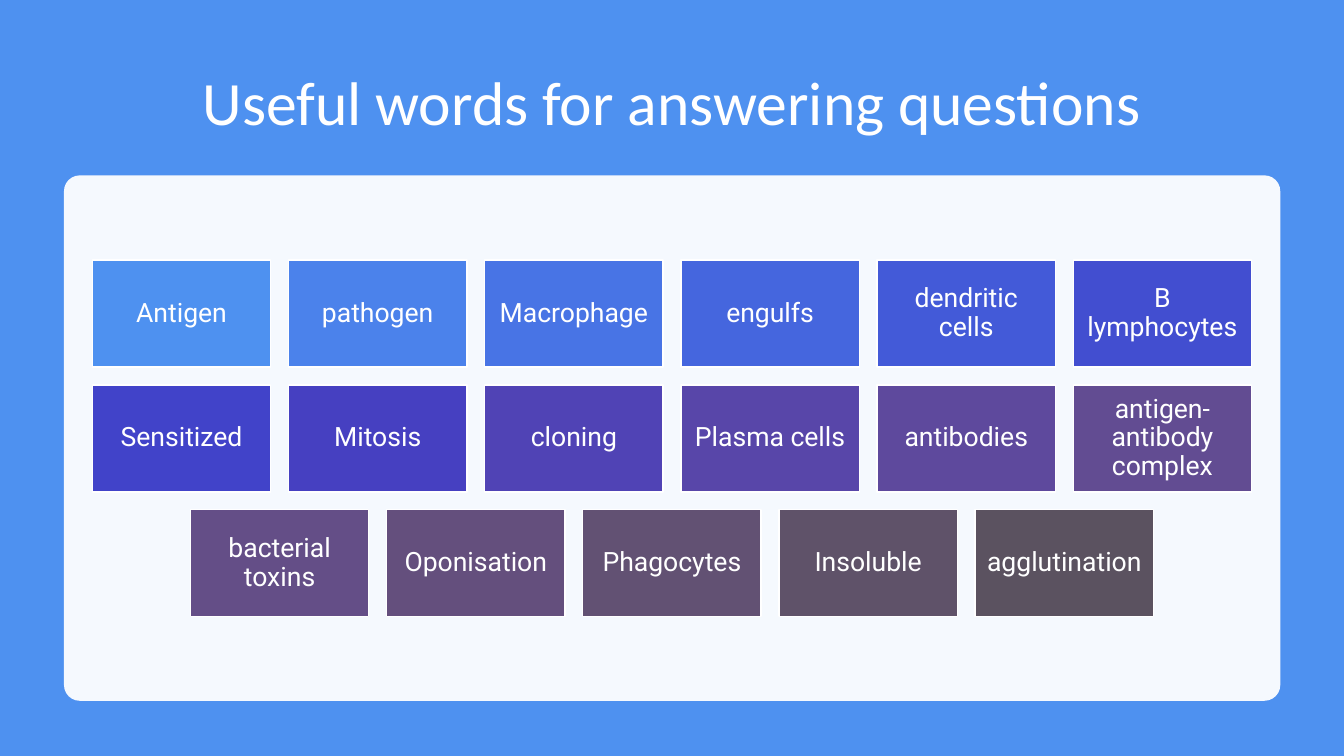
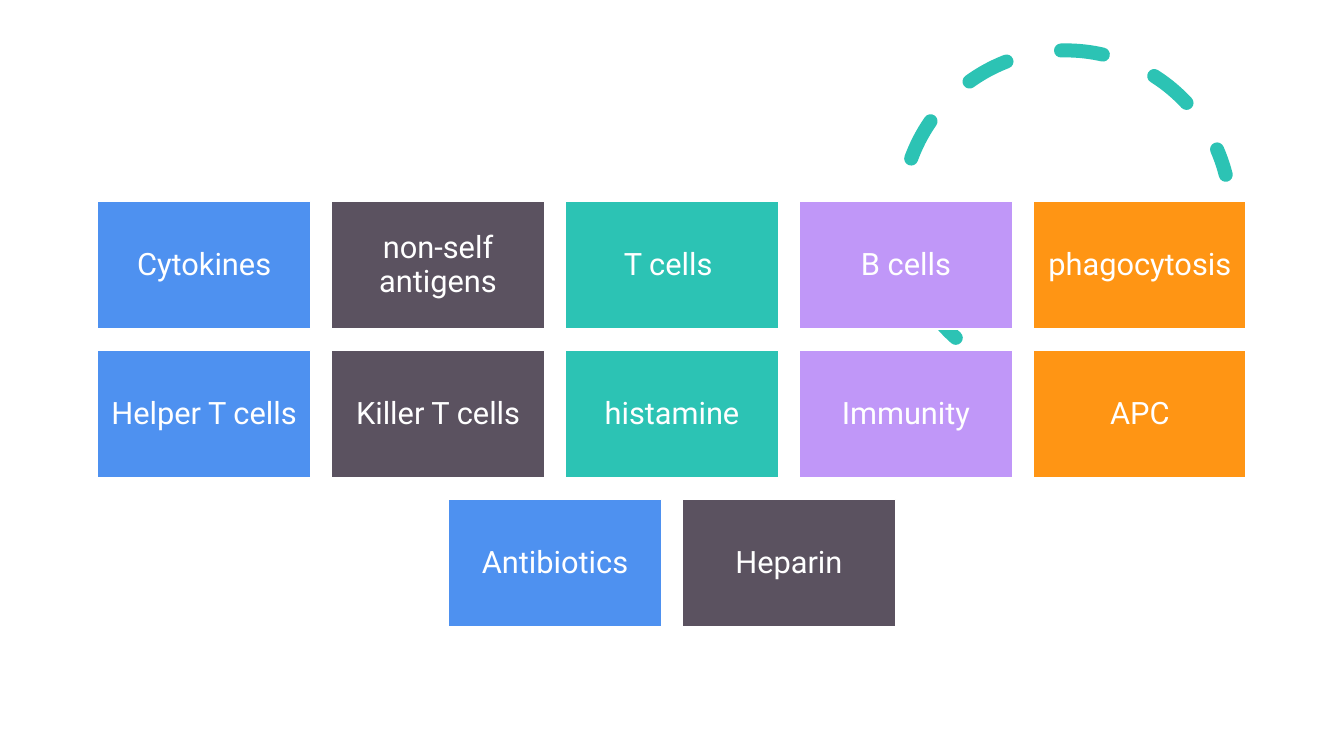
from itertools import cycle
from lxml.etree import SubElement
from pptx import Presentation
from pptx.dml.color import RGBColor
from pptx.enum.dml import MSO_LINE
from pptx.enum.shapes import MSO_SHAPE
from pptx.enum.text import MSO_ANCHOR, PP_ALIGN
from pptx.oxml.ns import qn
from pptx.util import Inches, Pt

WHITE, BLUE, TEAL, SLATE = "FFFFFF", "4E91F0", "2CC3B4", "5B5260"
LILAC, ORANGE = "C097F8", "FF9514"


def paint(fill, colour):
    fill.solid()
    fill.fore_color.rgb = RGBColor.from_string(colour)


def write(shape, words, font_name, size, inset):
    frame = shape.text_frame
    frame.word_wrap = True
    frame.vertical_anchor = MSO_ANCHOR.MIDDLE
    frame.margin_left = frame.margin_right = inset
    frame.margin_top = frame.margin_bottom = inset
    frame.text = words
    paragraph = frame.paragraphs[0]
    paragraph.alignment = PP_ALIGN.CENTER
    paragraph.line_spacing = 0.9
    for run in paragraph.runs:
        run.font.name = font_name
        run.font.size = Pt(size)
        paint(run.font.fill, WHITE)


deck = Presentation()
deck.slide_width, deck.slide_height = Inches(13.333), Inches(7.5)
column, row = deck.slide_width / 100, deck.slide_height / 100
blank = deck.slide_layouts[6]

answer_words = deck.slides.add_slide(blank)
paint(answer_words.background.fill, BLUE)
title = answer_words.shapes.add_textbox(
    int(6.88 * column), int(6.67 * row), int(86.25 * column), int(14.67 * row))
write(title, "Useful words for answering questions", "Calibri", 44, Inches(0.1))

panel = answer_words.shapes.add_shape(
    MSO_SHAPE.ROUNDED_RECTANGLE,
    int(4.76 * column), int(23.2 * row), int(90.5 * column), int(69.5 * row))
panel.adjustments[0] = 0.03
panel.shadow.inherit = False
panel.line.fill.background()
paint(panel.fill, WHITE)
panel_colour = next(panel.element.spPr.iter(qn("a:srgbClr")))
SubElement(panel_colour, qn("a:alpha")).set("val", "95000")

cell_words = deck.slides.add_slide(blank)
paint(cell_words.background.fill, WHITE)
arc_size = int(24.53 * column)
dashed_arc = cell_words.shapes.add_shape(
    MSO_SHAPE.ARC, int(67.05 * column), int(6.67 * row), arc_size, arc_size)
dashed_arc.adjustments[0] = 146.13 * 60000 / 100000
dashed_arc.adjustments[1] = 0
dashed_arc.rotation = 345.8
dashed_arc.shadow.inherit = False
dashed_arc.fill.background()
paint(dashed_arc.line.fill, TEAL)
dashed_arc.line.width = Pt(10)
dashed_arc.line.dash_style = MSO_LINE.DASH
next(dashed_arc.element.iter(qn("a:ln"))).set("cap", "rnd")

answer_vocabulary = [
    "Antigen", "pathogen", "Macrophage", "engulfs", "dendritic cells", "B lymphocytes",
    "Sensitized", "Mitosis", "cloning", "Plasma cells", "antibodies",
    "antigen- antibody complex",
    "bacterial toxins", "Oponisation", "Phagocytes", "Insoluble", "agglutination"]
blue_to_slate = [
    BLUE, "4B82EB", "4874E5", "4566DE", "435AD8", "424ED0",
    "4143C9", "4640C1", "5043B5", "5846A9", "5E499D", "624C92",
    "644E87", "644F7D", "625173", "5F5269", SLATE]
cell_vocabulary = [
    "Cytokines", "non-self antigens", "T cells ", "B cells", "phagocytosis",
    "Helper T cells", "Killer T cells", "histamine", "Immunity", "APC",
    "Antibiotics", "Heparin"]
accents = [BLUE, SLATE, TEAL, LILAC, ORANGE]

word_grids = [
    (answer_words, answer_vocabulary, blue_to_slate, 6, 86.25, 34.4, 19),
    (cell_words, cell_vocabulary, accents, 5, 85.45, 26.67, 22)]

for slide, vocabulary, colours, per_row, span, top, size in word_grids:
    tile_width = span * column / (per_row + 0.1 * (per_row - 1))
    tile_height = 0.6 * tile_width
    gap = 0.1 * tile_width
    for index, (word, colour) in enumerate(zip(vocabulary, cycle(colours))):
        line_number, position = divmod(index, per_row)
        line_length = min(per_row, len(vocabulary) - line_number * per_row)
        line_width = line_length * (tile_width + gap) - gap
        x = (deck.slide_width - line_width) / 2 + position * (tile_width + gap)
        y = top * row + line_number * (tile_height + gap)
        tile = slide.shapes.add_shape(
            MSO_SHAPE.RECTANGLE, int(x), int(y), int(tile_width), int(tile_height))
        tile.shadow.inherit = False
        paint(tile.fill, colour)
        paint(tile.line.fill, WHITE)
        tile.line.width = Pt(1)
        write(tile, word, "Roboto", size, int(tile_width / 23))

deck.save("out.pptx")
